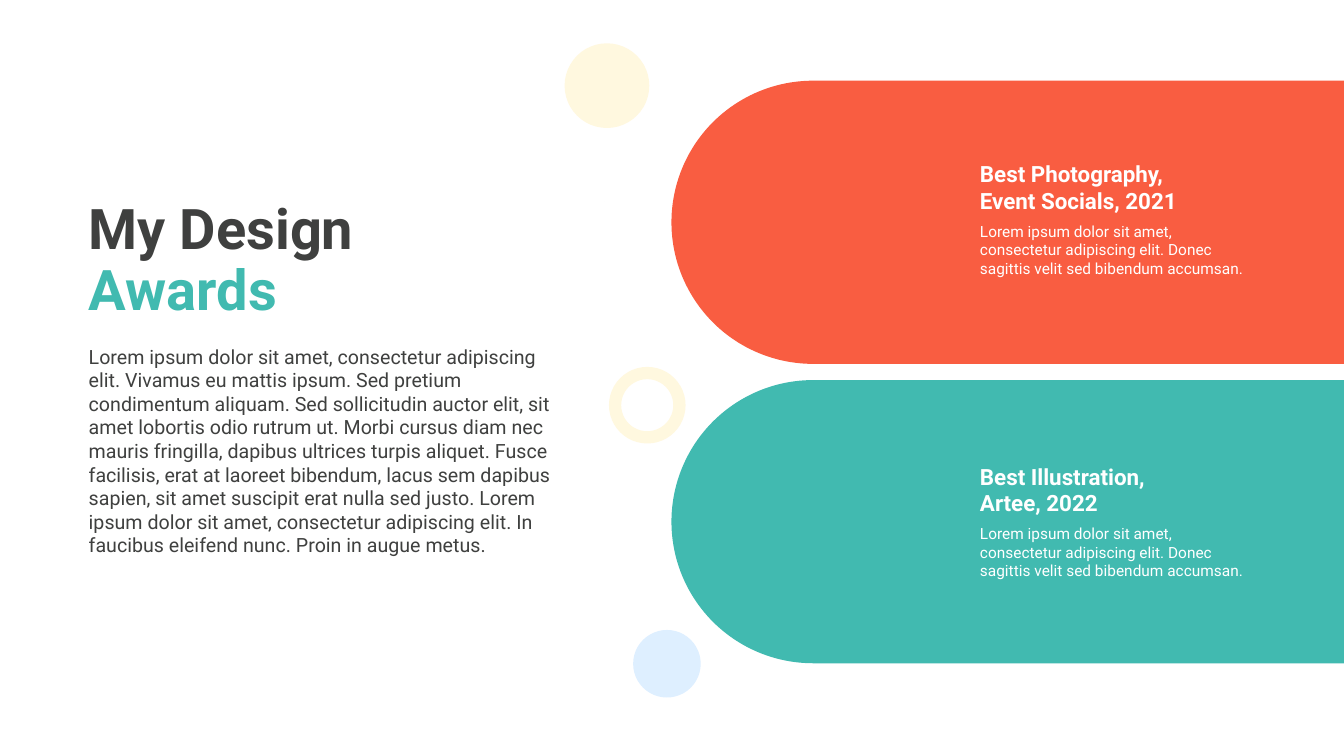
from pptx import Presentation
from pptx.dml.color import RGBColor
from pptx.enum.shapes import MSO_SHAPE
from pptx.enum.text import MSO_ANCHOR, MSO_AUTO_SIZE, PP_ALIGN
from pptx.util import Inches, Pt

TOP, BOTTOM = MSO_ANCHOR.TOP, MSO_ANCHOR.BOTTOM
FIXED = MSO_AUTO_SIZE.NONE
LEFT = PP_ALIGN.LEFT
OVAL, RING = MSO_SHAPE.OVAL, MSO_SHAPE.DONUT
ROUND = MSO_SHAPE.ROUND_2_SAME_RECTANGLE

DARK, WHITE = "3F403F", "FFFFFF"
RED, TEAL = "F95D41", "41BAB0"
CREAM, MINT, SKY = "FFF8DF", "D9F2F0", "DEEFFF"


def paint(shape, color):
    shape.shadow.inherit = False
    shape.fill.solid()
    shape.fill.fore_color.rgb = RGBColor.from_string(color)
    shape.line.fill.background()


def write(box, lines, size, bold=False, anchor=TOP, space=1.0):
    frame = box.text_frame
    frame.word_wrap = True
    frame.auto_size = FIXED
    frame.vertical_anchor = anchor
    frame.margin_left = frame.margin_right = 0
    frame.margin_top = frame.margin_bottom = 0
    for i, (text, color) in enumerate(lines):
        para = frame.add_paragraph() if i else frame.paragraphs[0]
        para.alignment = LEFT
        para.line_spacing = space
        for j, part in enumerate(text.split("\n")):
            if j:
                para.add_line_break()
            run = para.add_run()
            run.text = part
            run.font.name = "Roboto"
            run.font.size = Pt(size)
            run.font.bold = bold
            run.font.color.rgb = RGBColor.from_string(color)


deck = Presentation()
deck.slide_width = Inches(13.33)
deck.slide_height = Inches(7.5)
slide = deck.slides.add_slide(deck.slide_layouts[5])
shapes = slide.shapes

title = shapes.title
title.left, title.top = Inches(0.88), Inches(1.92)
title.width, title.height = Inches(4.79), Inches(1.28)
write(title, [("My Design", DARK), ("Awards", TEAL)], 40, True, BOTTOM, 0.9)

intro = (
    "Lorem ipsum dolor sit amet, consectetur adipiscing elit. "
    "Vivamus eu mattis ipsum. Sed pretium condimentum aliquam. "
    "Sed sollicitudin auctor elit, sit amet lobortis odio rutrum ut. "
    "Morbi cursus diam nec mauris fringilla, dapibus ultrices turpis aliquet. "
    "Fusce facilisis, erat at laoreet bibendum, lacus sem dapibus sapien, "
    "sit amet suscipit erat nulla sed justo. "
    "Lorem ipsum dolor sit amet, consectetur adipiscing elit. "
    "In faucibus eleifend nunc. Proin in augue metus."
)
box = shapes.add_textbox(Inches(0.88), Inches(3.42), Inches(4.79), Inches(2.18))
write(box, [(intro, DARK)], 14)

blurb = (
    "Lorem ipsum dolor sit amet, consectetur adipiscing elit. "
    "Donec sagittis velit sed bibendum accumsan."
)
awards = [
    ("Best Photography,\nEvent Socials, 2021", RED, -1.13, 1.59),
    ("Best Illustration,\nArtee, 2022", TEAL, 1.84, 4.59),
]
for name, color, top, head in awards:
    panel = shapes.add_shape(
        ROUND, Inches(8.59), Inches(top), Inches(2.81), Inches(6.67))
    panel.rotation = 270
    panel.adjustments[0] = 0.5
    panel.adjustments[1] = 0
    paint(panel, color)
    box = shapes.add_textbox(
        Inches(9.72), Inches(head), Inches(2.73), Inches(0.57))
    write(box, [(name, WHITE)], 16, True)
    box = shapes.add_textbox(
        Inches(9.72), Inches(head + 0.61), Inches(2.73), Inches(0.59))
    write(box, [(blurb, WHITE)], 11)

dots = [
    (OVAL, 5.6, 0.43, 0.84, CREAM),
    (RING, 6.04, 3.64, 0.76, CREAM),
    (OVAL, 6.28, 6.25, 0.67, SKY),
]
for kind, left, top, size, color in dots:
    dot = shapes.add_shape(
        kind, Inches(left), Inches(top), Inches(size), Inches(size))
    if kind == RING:
        dot.adjustments[0] = 0.16
    paint(dot, color)

outer = [(6.49, 1.72), (6.39, 2.33), (5.89, 1.9)]
inner = [(6.36, 1.86), (6.09, 1.93), (6.33, 2.15)]
pen = shapes.build_freeform(*outer[0], scale=Inches(1))
pen.add_line_segments(outer[1:], close=True)
pen.move_to(*inner[0])
pen.add_line_segments(inner[1:], close=True)
paint(pen.convert_to_shape(), MINT)

deck.save("out.pptx")
